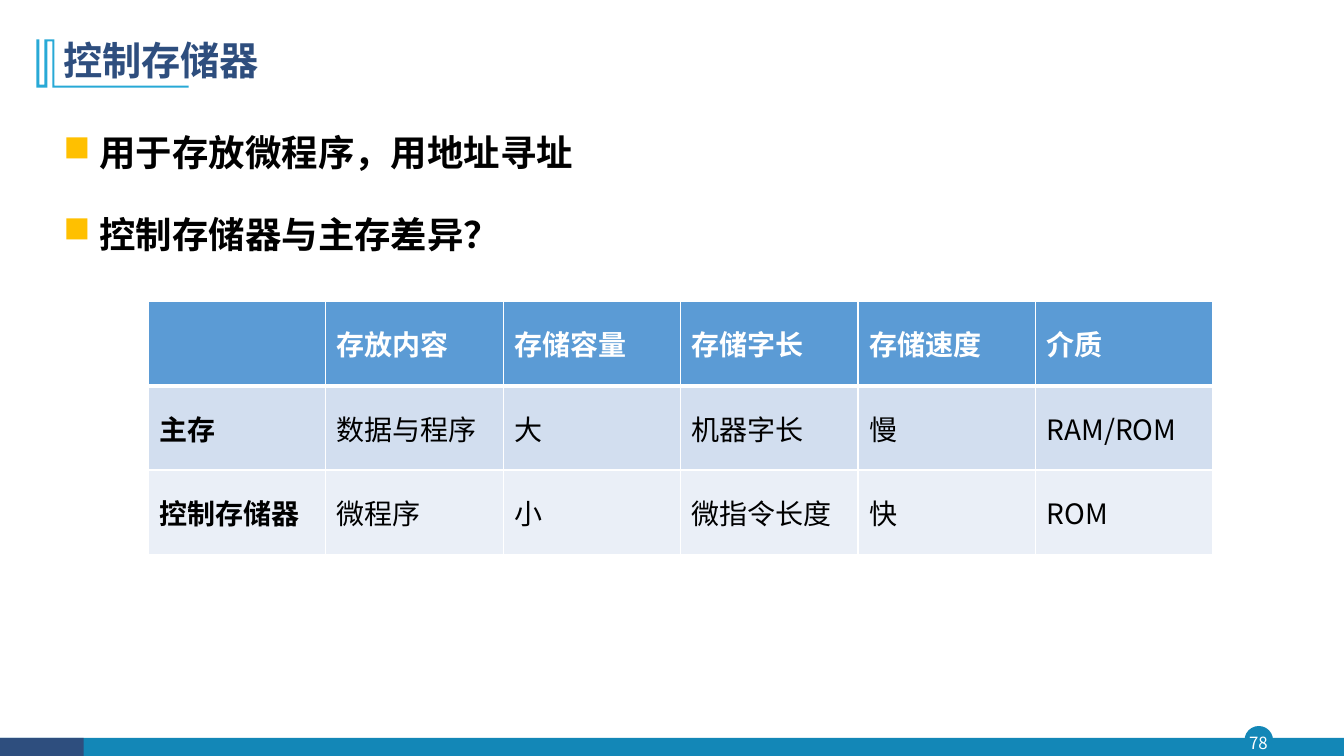
from pptx import Presentation
from pptx.dml.color import RGBColor
from pptx.enum.shapes import MSO_SHAPE
from pptx.enum.text import MSO_ANCHOR, PP_ALIGN
from pptx.oxml.ns import qn
from pptx.util import Inches, Pt
from lxml import etree

RECT, OVAL = MSO_SHAPE.RECTANGLE, MSO_SHAPE.OVAL
TOP, MIDDLE = MSO_ANCHOR.TOP, MSO_ANCHOR.MIDDLE
CENTER = PP_ALIGN.CENTER

FONT = "Noto Sans CJK SC"
WHITE, BLACK = "FFFFFF", "000000"
NAVY, TEAL, SKY, AMBER = "2E4E7E", "1387B7", "28A9D6", "FFC000"
HEADER_FILL, ROW_FILLS = "5B9BD5", ("D2DEEF", "EAEFF7")

POINTS = ["用于存放微程序，用地址寻址", "控制存储器与主存差异？"]
COMPARISON = [
    ["", "存放内容", "存储容量", "存储字长", "存储速度", "介质"],
    ["主存", "数据与程序", "大", "机器字长", "慢", "RAM/ROM"],
    ["控制存储器", "微程序", "小", "微指令长度", "快", "ROM"],
]
# Outline of the title mark, in hundredths of an inch
MARK_OUTLINE = [
    (18, 0), (18, 46), (151, 46), (151, 48), (16, 48), (16, 2), (11, 2),
    (11, 48), (0, 48), (0, 0), (3, 0), (3, 45), (8, 45), (8, 0),
]


def rgb(color):
    return RGBColor.from_string(color)


def paint(shape, color):
    shape.shadow.inherit = False
    shape.fill.solid()
    shape.fill.fore_color.rgb = rgb(color)
    shape.line.fill.background()


def add_block(slide, kind, left, top, width, height, color):
    block = slide.shapes.add_shape(
        kind, Inches(left), Inches(top), Inches(width), Inches(height))
    paint(block, color)
    return block


def add_run(paragraph, text, size, color, bold=False):
    run = paragraph.add_run()
    run.text = text
    run.font.size = Pt(size)
    run.font.bold = bold
    run.font.color.rgb = rgb(color)
    run.font.name = FONT
    latin = run.font._element.find(qn("a:latin"))
    latin.addnext(latin.makeelement(qn("a:ea"), {"typeface": FONT}))


def add_frame(slide, left, top, width, height, anchor):
    frame = slide.shapes.add_textbox(
        Inches(left), Inches(top), Inches(width), Inches(height)).text_frame
    frame.word_wrap = True
    frame.vertical_anchor = anchor
    return frame


def add_bullet(paragraph, char, color):
    props = paragraph._p.get_or_add_pPr()
    props.set("marL", str(Inches(0.36)))
    props.set("indent", str(Inches(-0.36)))
    bullet_color = etree.SubElement(props, qn("a:buClr"))
    etree.SubElement(bullet_color, qn("a:srgbClr"), val=color)
    etree.SubElement(props, qn("a:buChar"), char=char)


def add_border(cell, side, points):
    border = etree.SubElement(
        cell._tc.get_or_add_tcPr(), qn("a:ln" + side), w=str(Pt(points)))
    fill = etree.SubElement(border, qn("a:solidFill"))
    etree.SubElement(fill, qn("a:srgbClr"), val=WHITE)


def add_footer(slide, left, top, width, height, number):
    # Page badge behind the bar
    badge = add_block(slide, OVAL, left + 12.35, top - 0.11, 0.27, 0.27, TEAL)
    badge.line.color.rgb = rgb(TEAL)
    badge.line.width = Pt(1)
    # Bar with its dark end
    add_block(slide, RECT, left, top, width, height, TEAL)
    add_block(slide, RECT, left, top, 0.83, height, NAVY)
    # Page number
    frame = add_frame(slide, left + 12.32, top - 0.11, 0.32, 0.31, MIDDLE)
    frame.margin_left = frame.margin_right = 0
    frame.margin_top = frame.margin_bottom = 0
    frame.paragraphs[0].alignment = CENTER
    add_run(frame.paragraphs[0], number, 12, WHITE)


def add_title(slide, left, top, width, height, text):
    # Double bar with underline
    builder = slide.shapes.build_freeform(
        *MARK_OUTLINE[0], scale=Inches(0.01))
    builder.add_line_segments(MARK_OUTLINE[1:], close=True)
    mark = builder.convert_to_shape(Inches(left - 0.17), Inches(top + 0.11))
    paint(mark, SKY)
    # Heading
    heading = add_frame(slide, left, top, width, height, MIDDLE).paragraphs[0]
    heading.line_spacing = 0.9
    add_run(heading, text, 28, NAVY, True)


def add_points(slide, left, top, width, height, points):
    frame = add_frame(slide, left, top, width, height, TOP)
    for index, point in enumerate(points):
        paragraph = frame.add_paragraph() if index else frame.paragraphs[0]
        add_bullet(paragraph, "■", AMBER)
        paragraph.line_spacing = 1.5
        paragraph.space_before = Pt(5.7 if index else 0)
        paragraph.space_after = Pt(5.7)
        add_run(paragraph, point, 26, BLACK, True)


def add_comparison(slide, left, top, width, height, rows):
    table = slide.shapes.add_table(
        len(rows), len(rows[0]), Inches(left), Inches(top),
        Inches(width), Inches(height)).table
    for r, row in enumerate(rows):
        for c, text in enumerate(row):
            cell = table.cell(r, c)
            # Thick rule between header and body
            for side, thick in (("L", False), ("R", False),
                                ("T", r == 1), ("B", r == 0)):
                add_border(cell, side, 3 if thick else 1)
            cell.fill.solid()
            cell.fill.fore_color.rgb = rgb(
                ROW_FILLS[(r - 1) % 2] if r else HEADER_FILL)
            cell.vertical_anchor = MIDDLE
            cell.margin_left = cell.margin_right = Inches(0.11)
            if text:
                add_run(cell.text_frame.paragraphs[0], text, 20,
                        BLACK if r else WHITE, r == 0 or c == 0)


def main():
    deck = Presentation()
    deck.slide_width, deck.slide_height = Inches(13.33), Inches(7.5)
    slide = deck.slides.add_slide(deck.slide_layouts[6])
    add_footer(slide, 0, 7.32, 13.33, 0.19, "78")
    add_title(slide, 0.53, 0.28, 11.5, 0.68, "控制存储器")
    add_points(slide, 0.53, 1.03, 11.33, 6.16, POINTS)
    add_comparison(slide, 1.47, 2.99, 10.56, 2.51, COMPARISON)
    deck.save("out.pptx")


if __name__ == "__main__":
    main()
